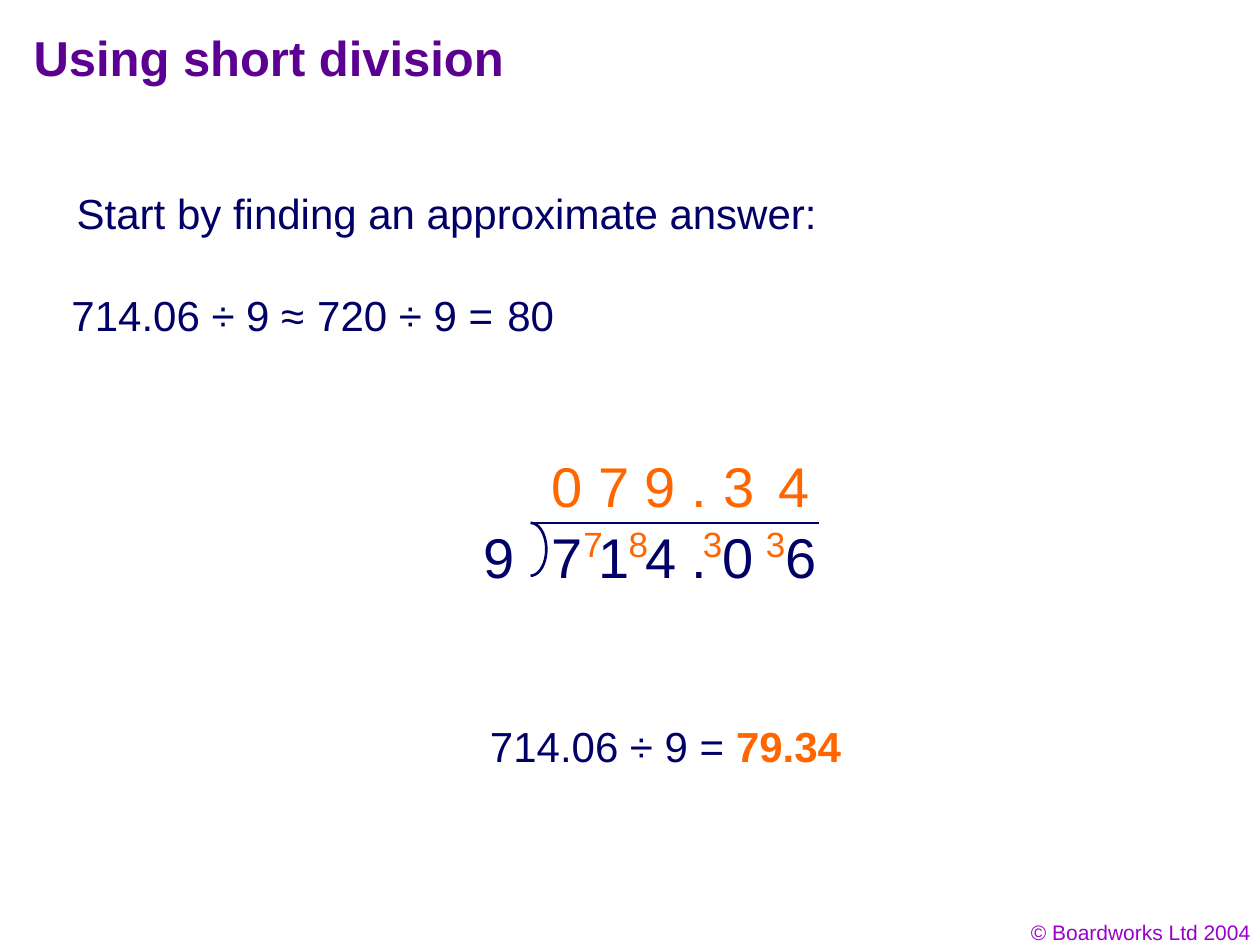
from math import cos, pi, sin

from lxml import etree
from pptx import Presentation
from pptx.dml.color import RGBColor
from pptx.enum import shapes, text
from pptx.oxml.ns import qn
from pptx.util import Pt

NAVY = RGBColor(0x01, 0x00, 0x66)
ORANGE = RGBColor(0xFF, 0x66, 0x00)
PURPLE = RGBColor(0x5B, 0x00, 0x91)
VIOLET = RGBColor(0x99, 0x00, 0xCC)
FONT = "Arial"


def add_run(paragraph, words, size, color, bold=False):
    """Append one formatted run to a paragraph."""
    run = paragraph.add_run()
    run.text = words
    run.font.name = FONT
    run.font.size = Pt(size)
    run.font.bold = bold
    run.font.color.rgb = color


def add_label(slide, left, top, width, height, runs):
    """Add a one-line text box made of (words, size, color, bold) runs."""
    shape = slide.shapes.add_textbox(Pt(left), Pt(top), Pt(width), Pt(height))
    shape.text_frame.word_wrap = False
    shape.text_frame.auto_size = text.MSO_AUTO_SIZE.SHAPE_TO_FIT_TEXT
    for run in runs:
        add_run(shape.text_frame.paragraphs[0], *run)
    return shape


def add_title(slide, left, top, width, height):
    """Fill and place the title placeholder."""
    title = slide.shapes.title
    title.left, title.top, title.width, title.height = map(Pt, (left, top, width, height))
    frame = title.text_frame
    frame.vertical_anchor = text.MSO_ANCHOR.TOP
    frame.auto_size = text.MSO_AUTO_SIZE.NONE
    paragraph = frame.paragraphs[0]
    paragraph.alignment = text.PP_ALIGN.LEFT
    add_run(paragraph, "Using short division", 28, PURPLE, True)


def add_estimate(slide, left, top):
    """Add the instruction and the approximate calculation below it."""
    parts = [
        (3, 0, 440, "Start by finding an approximate answer:"),
        (0, 58.3, 155, "714.06 ÷ 9 ≈"),
        (140.4, 58.3, 117, "720 ÷ 9 ="),
        (249.1, 58.3, 42, "80"),
    ]
    for across, down, width, words in parts:
        add_label(slide, left + across, top + down, width, 36, [(words, 24, NAVY)])


def add_bracket(slide, left, top, width, height, rule_width):
    """Draw the curved division bracket and the rule above the dividend."""
    steps = 24
    angles = [pi * step / steps - pi / 2 for step in range(steps + 1)]
    middle = top + height / 2
    points = [(Pt(left + width * cos(angle)), Pt(middle + height / 2 * sin(angle)))
              for angle in angles]
    builder = slide.shapes.build_freeform(*points[0])
    builder.add_line_segments(points[1:], close=False)
    curve = builder.convert_to_shape()
    curve.shadow.inherit = False
    curve.fill.background()
    rule = slide.shapes.add_connector(
        shapes.MSO_CONNECTOR.STRAIGHT, Pt(left), Pt(top), Pt(left + rule_width), Pt(top))
    etree.SubElement(rule.element.spPr, qn("a:effectLst"))
    for shape in (curve, rule):
        shape.line.color.rgb = NAVY
        shape.line.width = Pt(1.5)


def add_division(slide, left, top):
    """Lay out the divisor, dividend, answer digits and carried digits."""
    lower = top + 41
    dividend = add_label(slide, left + 39, lower, 167, 46, [
        ("7 1 4 . 0", 32, NAVY), (" ", 32, NAVY), ("6", 32, NAVY)])
    gap = list(dividend.element.iter(qn("a:rPr")))[1]
    gap.set("spc", "890")
    add_bracket(slide, left + 33.9, top + 44.6, 9, 30.2, 164.8)
    add_label(slide, left, lower, 33, 46, [("9", 32, NAVY)])
    answer = zip("079.34", (39, 65.6, 92.2, 118.8, 136.8, 168.5))
    for digit, across in answer:
        width = 24 if digit == "." else 33
        add_label(slide, left + across, top, width, 46, [(digit, 32, ORANGE)])
    carries = zip("7833", (56.9, 82.8, 125.3, 161.3))
    for digit, across in carries:
        add_label(slide, left + across, lower, 26, 31.7, [(digit, 20, ORANGE)])


def add_result(slide, left, top):
    """State the exact answer."""
    add_label(slide, left, top, 218, 36, [
        ("714.06 ÷ 9 = ", 24, NAVY), ("79.34", 24, ORANGE, True)])


def add_footer(slide, left, top):
    """Add the copyright line."""
    footer = add_label(slide, left, top, 168, 21.6, [("© Boardworks Ltd 2004", 12, VIOLET)])
    footer.text_frame.word_wrap = True
    footer.text_frame.paragraphs[0].alignment = text.PP_ALIGN.RIGHT


def main():
    """Build the slide and save it."""
    presentation = Presentation()
    presentation.slide_width, presentation.slide_height = Pt(720), Pt(540)
    slide = presentation.slides.add_slide(presentation.slide_layouts[5])
    add_footer(slide, 553.7, 522)
    add_title(slide, 12, 12, 336, 48)
    add_estimate(slide, 33.8, 103.7)
    add_division(slide, 269.3, 254.2)
    add_result(slide, 272.9, 408.2)
    presentation.save("out.pptx")


if __name__ == "__main__":
    main()
